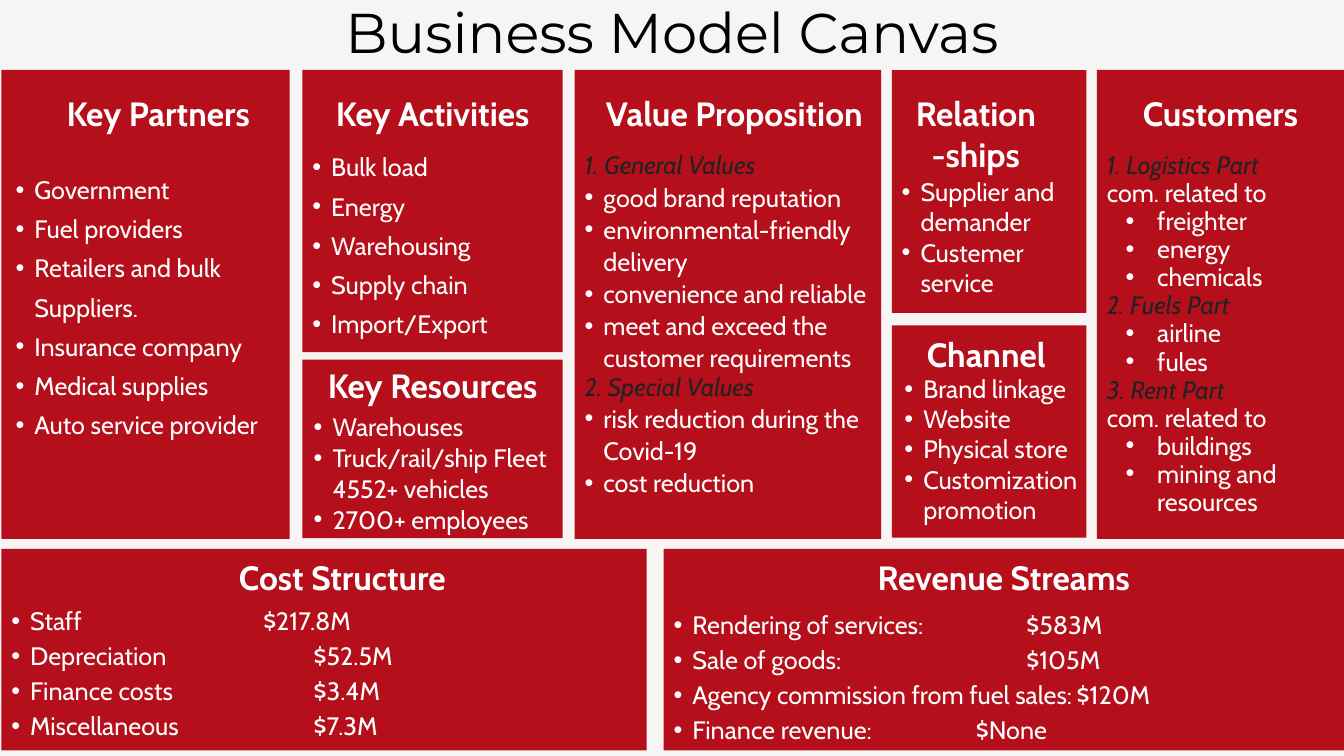
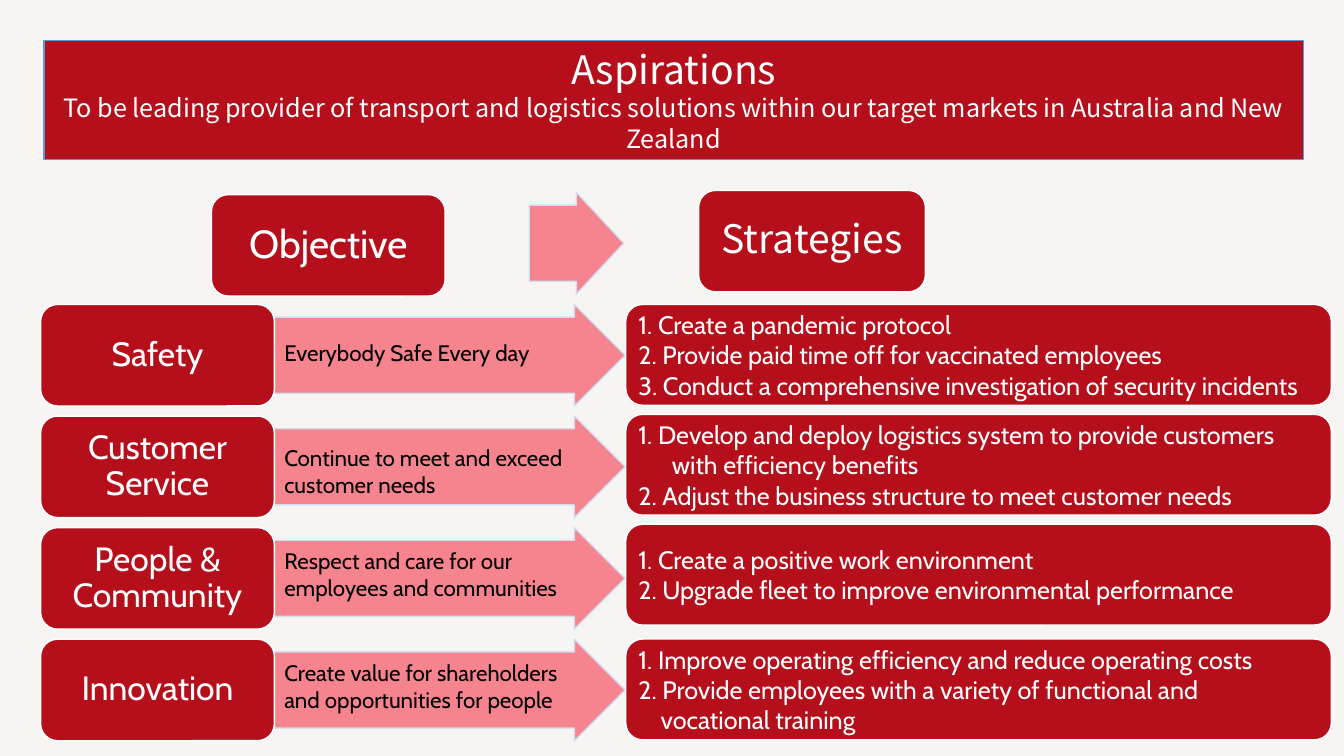
from dataclasses import dataclass

from pptx import Presentation
from pptx.dml.color import RGBColor
from pptx.enum.shapes import MSO_SHAPE as SHAPE
from pptx.enum.text import MSO_ANCHOR as ANCHOR, PP_ALIGN as ALIGN
from pptx.oxml.ns import qn
from pptx.util import Pt

COLORS = {
    "page": "F7F5F3", "red": "B50F1B", "pink": "F5848E", "edge": "D2DEEF",
    "blue": "5B9BD5", "white": "FFFFFF", "black": "000000", "dark": "222222",
}
BODY_FONT, TITLE_FONT, WIDE_FONT = "Cabin", "Montserrat", "Noto Sans CJK SC"
WIDTH, HEIGHT = 960, 540

# Paragraph kinds: left margin, first-line indent
INDENTS = {
    "plain": (0, 0), "group": (0, 0), "bullet": (13.5, -13.5),
    "sub": (36, -22.5), "wrap1": (24, 0), "wrap2": (16, 0),
}


@dataclass
class Panel:
    box: tuple
    heading: str
    heading_top: float
    body_top: float
    items: list
    spacing: float = 1.0
    heading_dx: float = 0
    body_dx: float = 0


@dataclass
class Row:
    label: str
    aim: str
    aim_top: float
    strategy_top: float
    strategies: list


def of_kind(kind, *texts):
    return [(kind, text) for text in texts]


def bullets(*texts):
    return of_kind("bullet", *texts)


def color(name):
    return RGBColor.from_string(COLORS[name])


# Elements
def add_box(s, kind, box, fill="red", line=None):
    sp = s.shapes.add_shape(kind, *map(Pt, box))
    sp.shadow.inherit = False
    sp.fill.solid()
    sp.fill.fore_color.rgb = color(fill)
    if line:
        sp.line.color.rgb = color(line)
        sp.line.width = Pt(1)
    else:
        sp.line.fill.background()
    return sp


def add_arrow(s, box):
    sp = add_box(s, SHAPE.RIGHT_ARROW, box, "pink", "edge")
    sp.adjustments[0], sp.adjustments[1] = 0.75, 0.5


def format_text(p, size, ink="white", font=BODY_FONT, bold=False, italic=False):
    for r in p.runs:
        r.font.size, r.font.name = Pt(size), font
        r.font.bold, r.font.italic = bold, italic
        r.font.color.rgb = color(ink)


def set_text(sp, text, size, align=ALIGN.LEFT, anchor=ANCHOR.TOP, spacing=1.0, **style):
    tf = sp.text_frame
    tf.word_wrap = True
    tf.vertical_anchor = anchor
    tf.text = text
    for p in tf.paragraphs:
        p.alignment, p.line_spacing = align, spacing
        format_text(p, size, **style)
    return tf


def add_text(s, box, text, size, **options):
    return set_text(s.shapes.add_textbox(*map(Pt, box)), text, size, **options)


def set_indent(p, kind):
    margin, indent = INDENTS[kind]
    pPr = p._p.get_or_add_pPr()
    pPr.set("marL", str(Pt(margin)))
    pPr.set("indent", str(Pt(indent)))
    if kind in ("bullet", "sub"):
        font = pPr.makeelement(qn("a:buFont"), {"typeface": "Arial"})
        bullet = pPr.makeelement(qn("a:buChar"), {"char": "•"})
        pPr.extend([font, bullet])


def add_list(s, box, items, spacing):
    tf = add_text(s, box, "\n".join(text for _, text in items), 18)
    has_groups = any(kind == "group" for kind, _ in items)
    for p, (kind, _) in zip(tf.paragraphs, items):
        if kind == "group":
            format_text(p, 18, "dark", italic=True)
        # Group lines keep a tighter pitch than their bullets
        pitch = 20 if has_groups and kind != "bullet" else spacing
        p.line_spacing = pitch if pitch == 1.0 else Pt(pitch)
        set_indent(p, kind)


def add_panel(s, panel):
    x, y, w, h = panel.box
    add_box(s, SHAPE.RECTANGLE, panel.box)
    add_text(s, (x + panel.heading_dx, panel.heading_top, w, 36), panel.heading, 24,
             align=ALIGN.CENTER, bold=True)
    add_list(s, (x + panel.body_dx, panel.body_top, w, y + h - panel.body_top),
             panel.items, panel.spacing)


def add_label(s, box, text, size, font=BODY_FONT):
    sp = add_box(s, SHAPE.ROUNDED_RECTANGLE, box, line="white")
    set_text(sp, text, size, align=ALIGN.CENTER, anchor=ANCHOR.MIDDLE, spacing=0.9, font=font)


def add_strategies(s, box, items):
    sp = add_box(s, SHAPE.ROUNDED_RECTANGLE, box, line="white")
    tf = set_text(sp, "\n".join(text for _, text in items), 18, anchor=ANCHOR.MIDDLE)
    tf.margin_left = Pt(5.5)
    for p, (kind, _) in zip(tf.paragraphs, items):
        set_indent(p, kind)


# Content
PANELS = [
    Panel((1, 50, 206, 335), "Key Partners", 63, 114.5,
          bullets("Government", "Fuel providers", "Retailers and bulk Suppliers.",
                  "Insurance company", "Medical supplies", "Auto service provider"),
          28, heading_dx=9, body_dx=3),
    Panel((216, 50, 186, 201.5), "Key Activities", 63, 98.5,
          bullets("Bulk load", "Energy", "Warehousing", "Supply chain", "Import/Export"), 28),
    Panel((216, 257, 186, 127.5), "Key Resources", 257, 290,
          bullets("Warehouses", "Truck/rail/ship Fleet 4552+ vehicles", "2700+ employees"),
          22, body_dx=1),
    Panel((410.5, 50, 219, 335), "Value Proposition", 63, 105,
          of_kind("group", "1. General Values")
          + bullets("good brand reputation", "environmental-friendly delivery",
                    "convenience and reliable", "meet and exceed the customer requirements")
          + of_kind("group", "2. Special Values")
          + bullets("risk reduction during the Covid-19", "cost reduction"),
          23, heading_dx=4.5),
    Panel((637, 50, 139, 173.5), "Relation\n-ships", 63, 122.5,
          bullets("Supplier and demander", "Custemer service"), heading_dx=-9.5),
    Panel((637, 232.5, 139, 151.5), "Channel", 235, 263,
          bullets("Brand linkage", "Website", "Physical store", "Customization promotion"),
          heading_dx=-2, body_dx=2),
    Panel((783.5, 50, 176.5, 335), "Customers", 63, 105,
          of_kind("group", "1. Logistics Part") + of_kind("plain", "com. related to")
          + of_kind("sub", "freighter", "energy", "chemicals")
          + of_kind("group", "2. Fuels Part") + of_kind("sub", "airline", "fules")
          + of_kind("group", "3. Rent Part") + of_kind("plain", "com. related to")
          + of_kind("sub", "buildings", "mining and resources"), 20),
    Panel((1, 392, 461, 144), "Cost Structure", 394, 425.5,
          bullets("Staff\t\t\t\t$217.8M", "Depreciation\t\t\t$52.5M",
                  "Finance costs\t\t\t$3.4M", "Miscellaneous\t\t\t$7.3M"),
          25, heading_dx=13),
    Panel((474, 392, 486, 144), "Revenue Streams", 394, 428.5,
          bullets("Rendering of services:\t\t\t$583M", "Sale of goods:\t\t\t\t$105M",
                  "Agency commission from fuel sales:\t$120M",
                  "Finance revenue:\t\t\t$None"), 25),
]

ROWS = [
    Row("Safety", "Everybody Safe Every day", 238.5, 217.5,
        of_kind("plain", "1. Create a pandemic protocol",
                "2. Provide paid time off for vaccinated employees",
                "3. Conduct a comprehensive investigation of security incidents")),
    Row("Customer Service", "Continue to meet and exceed\ncustomer needs", 314, 296,
        of_kind("plain", "1. Develop and deploy logistics system to provide customers")
        + of_kind("wrap1", "with efficiency benefits")
        + of_kind("plain", "2. Adjust the business structure to meet customer needs")),
    Row("People & Community", "Respect and care for our\nemployees and communities", 387.5, 374.5,
        of_kind("plain", "1. Create a positive work environment",
                "2. Upgrade fleet to improve environmental performance")),
    Row("Innovation", "Create value for shareholders\nand opportunities for people", 467, 456.5,
        of_kind("plain", "1. Improve operating efficiency and reduce operating costs",
                "2. Provide employees with a variety of functional and")
        + of_kind("wrap2", "vocational training")),
]


# Slides
def build_canvas(s):
    for panel in PANELS:
        add_panel(s, panel)
    add_text(s, (0, -5, WIDTH, 55), "Business Model Canvas", 40,
             align=ALIGN.CENTER, ink="black", font=TITLE_FONT)


def build_aspirations(s):
    # Banner
    banner = add_box(s, SHAPE.RECTANGLE, (31.5, 29, 899.5, 85), line="blue")
    tf = set_text(banner, "Aspirations\nTo be leading provider of transport and logistics "
                  "solutions within our target markets in Australia and New Zealand",
                  18, align=ALIGN.CENTER, font=WIDE_FONT)
    format_text(tf.paragraphs[0], 28, font=WIDE_FONT)

    # Column heads
    height = 72.5
    add_label(s, (151, 139, 167, height), "Objective", 28)
    add_arrow(s, (378, 137.5, 67.5, height))
    add_label(s, (499, 136, 162, height), "Strategies", 28, WIDE_FONT)

    # Objective rows
    for i, row in enumerate(ROWS):
        top = 217.5 + 79.7 * i
        add_arrow(s, (196, top, 250.5, height))
        add_label(s, (29, top, 167, height), row.label, 24)
        add_text(s, (196, row.aim_top, 240, 46), row.aim, 16, ink="black")
        add_strategies(s, (447, row.strategy_top, 504, 72), row.strategies)


def main():
    prs = Presentation()
    prs.slide_width, prs.slide_height = Pt(WIDTH), Pt(HEIGHT)
    page = prs.slide_master.background.fill
    page.solid()
    page.fore_color.rgb = color("page")
    for build in (build_canvas, build_aspirations):
        build(prs.slides.add_slide(prs.slide_layouts[6]))
    prs.save("out.pptx")


if __name__ == "__main__":
    main()
